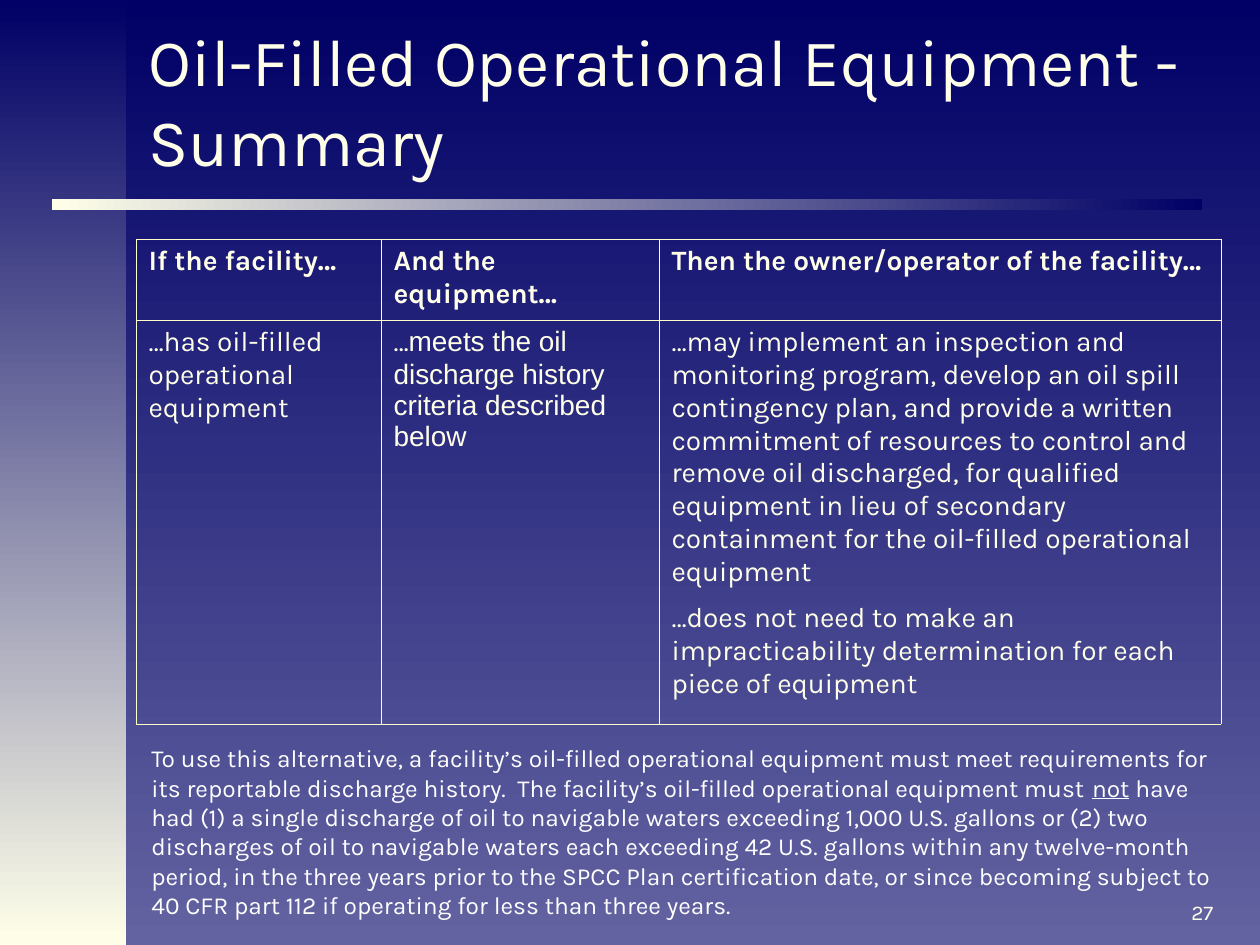
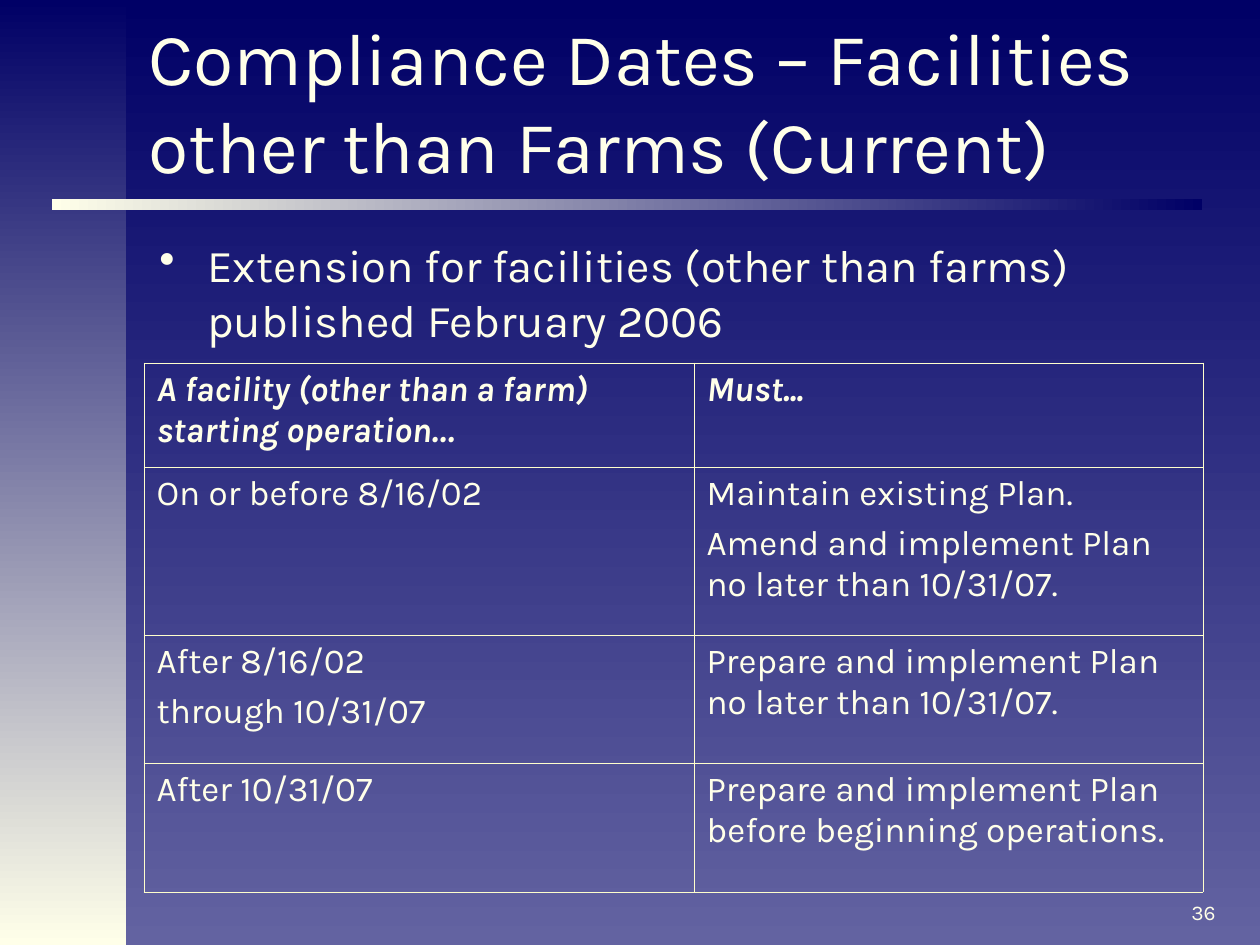
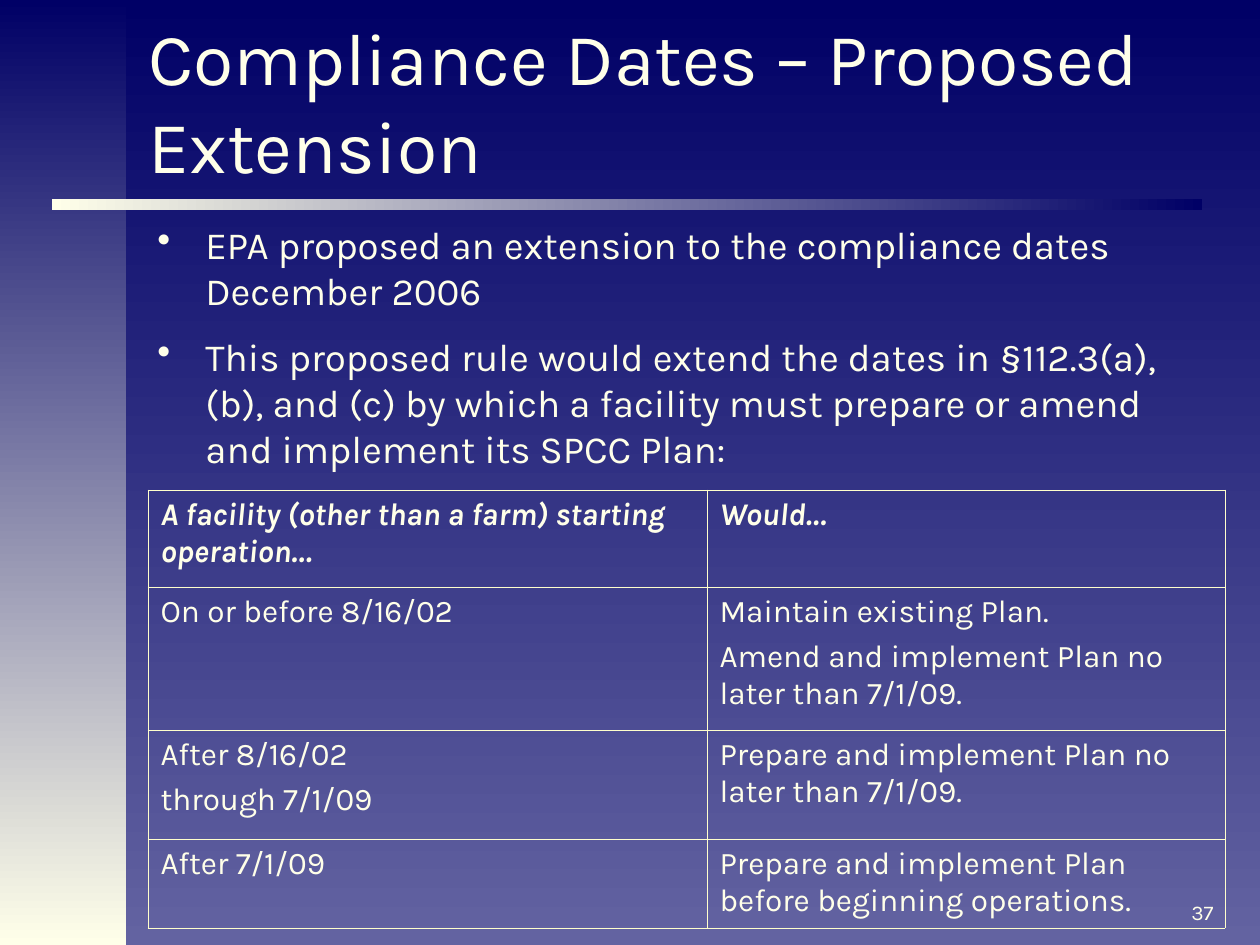
from lxml.etree import SubElement
from pptx import Presentation
from pptx.dml.color import RGBColor
from pptx.enum.shapes import MSO_SHAPE
from pptx.enum.text import MSO_ANCHOR
from pptx.oxml import parse_xml
from pptx.oxml.ns import nsdecls, qn
from pptx.util import Pt

PX = 914400 / 126
FONT = "Karla"
COLORS = {"navy": "000066", "violet": "6363A1", "cream": "FFFFE9",
          "border": "FFFFCC", "white": "FFFFFF"}
OPERATIONS = "Prepare and implement Plan before beginning operations."
STARTING = "A facility (other than a farm) starting operation…"


def date_rows(verb, date):
    """Rows shared by the two compliance date tables."""
    return [
        [[STARTING], [verb]],
        [["On or before 8/16/02"],
         ["Maintain existing Plan.", f"Amend and implement Plan no later than {date}."]],
        [["After 8/16/02", f"through {date}"],
         [f"Prepare and implement Plan no later than {date}."]],
        [[f"After {date}"], [OPERATIONS]],
    ]


# A paragraph is a string, or a list of (text, run style) pairs.
SLIDES = [
    {
        "number": 27,
        "title": "Oil-Filled Operational Equipment - Summary",
        "title_size": 38,
        "table": {
            "at": (136, 239), "cols": (245, 278, 562), "rows": (81, 404),
            "size": 16, "before": 4, "after": 4, "head": {"bold": True},
            "cells": [
                [["If the facility…"], ["And the equipment…"],
                 ["Then the owner/operator of the facility…"]],
                [["…has oil-filled operational equipment"],
                 [[("…", {}),
                   ("meets the oil discharge history criteria described below",
                    {"name": "Arial"})]],
                 ["…may implement an inspection and monitoring program, develop an oil "
                  "spill contingency plan, and provide a written commitment of resources "
                  "to control and remove oil discharged, for qualified equipment in lieu "
                  "of secondary containment for the oil-filled operational equipment",
                  "…does not need to make an impracticability determination for each "
                  "piece of equipment"]],
            ],
        },
        "text": {
            "at": (139, 737, 1086, 189), "size": 14, "color": "white",
            "paragraphs": [[
                ("To use this alternative, a facility’s oil-filled operational equipment "
                 "must meet requirements for its reportable discharge history.  The "
                 "facility’s oil-filled operational equipment must ", {}),
                ("not", {"underline": True}),
                (" have had (1) a single discharge of oil to navigable waters exceeding "
                 "1,000 U.S. gallons or (2) two discharges of oil to navigable waters each "
                 "exceeding 42 U.S. gallons within any twelve-month period, in the three "
                 "years prior to the SPCC Plan certification date, or since becoming "
                 "subject to 40 CFR part 112 if operating for less than three years.", {}),
            ]],
        },
    },
    {
        "number": 36,
        "title": "Compliance Dates – Facilities other than Farms (Current)",
        "title_size": 42,
        "text": {
            "at": (147, 231, 1077, 662), "size": 26, "bullet": True,
            "before": 6.5, "after": 6.5,
            "paragraphs": ["Extension for facilities (other than farms) published "
                           "February 2006"],
        },
        "table": {
            "at": (144, 363), "cols": (550, 509), "rows": (104, 168, 128, 129),
            "size": 20, "after": 5, "head": {"bold": True, "italic": True},
            "cells": date_rows("Must...", "10/31/07"),
        },
    },
    {
        "number": 37,
        "title": "Compliance Dates – Proposed Extension",
        "title_size": 42,
        "text": {
            "at": (145, 215, 1077, 662), "size": 22, "bullet": True,
            "before": 5.5, "after": 5.5,
            "paragraphs": [
                "EPA proposed an extension to the compliance dates December 2006",
                "This proposed rule would extend the dates in §112.3(a), (b), and (c) by "
                "which a facility must prepare or amend and implement its SPCC Plan:",
            ],
        },
        "table": {
            "at": (148, 490), "cols": (559, 518), "rows": (97, 143, 109, 89),
            "size": 18, "after": 4.5, "head": {"bold": True, "italic": True},
            "cells": date_rows("Would…", "7/1/09"),
        },
    },
]


def emu(*lengths):
    return [round(n * PX) for n in lengths]


def rgb(name):
    return RGBColor.from_string(COLORS[name])


def set_gradient(fill, start, end, angle):
    fill.gradient()
    fill.gradient_angle = angle
    for stop, name in zip(fill.gradient_stops, (start, end)):
        stop.color.rgb = rgb(name)


def add_bullet(p):
    pPr = p._p.get_or_add_pPr()
    indent, = emu(48)
    pPr.set("marL", str(indent))
    pPr.set("indent", str(-indent))
    color = SubElement(pPr, qn("a:buClr"))
    SubElement(color, qn("a:srgbClr")).set("val", COLORS["cream"])
    SubElement(pPr, qn("a:buChar")).set("char", "•")


def write(tf, paragraphs, size, color="cream", before=0, after=0, bullet=False, style=None):
    for i, content in enumerate(paragraphs):
        p = tf.add_paragraph() if i else tf.paragraphs[0]
        if bullet:
            add_bullet(p)
        p.space_before = Pt(before if i else 0)
        p.space_after = Pt(after)
        runs = [(content, {})] if isinstance(content, str) else content
        for text, run_style in runs:
            r = p.add_run()
            r.text = text
            r.font.size = Pt(size)
            r.font.color.rgb = rgb(color)
            for key, value in {"name": FONT, **(style or {}), **run_style}.items():
                setattr(r.font, key, value)


def add_text(s, at, paragraphs, size, **options):
    tf = s.shapes.add_textbox(*emu(*at)).text_frame
    tf.word_wrap = True
    write(tf, paragraphs, size, **options)
    return tf


def add_band(s, at, start, end, angle):
    band = s.shapes.add_shape(MSO_SHAPE.RECTANGLE, *emu(*at))
    band.shadow.inherit = False
    band.line.fill.background()
    set_gradient(band.fill, start, end, angle)


def add_title(s, text, size):
    tf = add_text(s, (136, 21, 1086, 158), [text], size)
    tf.vertical_anchor = MSO_ANCHOR.MIDDLE
    fill = tf.paragraphs[0].runs[0]._r.rPr.find(qn("a:solidFill"))
    fill.addnext(parse_xml(
        f'<a:effectLst {nsdecls("a")}><a:outerShdw dist="35921" dir="2700000">'
        '<a:srgbClr val="808080"/></a:outerShdw></a:effectLst>'))


def set_borders(cell):
    tcPr = cell._tc.get_or_add_tcPr()
    for i, side in enumerate(("lnL", "lnR", "lnT", "lnB")):
        tcPr.insert(i, parse_xml(
            f'<a:{side} {nsdecls("a")} w="{Pt(0.45)}"><a:solidFill>'
            f'<a:srgbClr val="{COLORS["border"]}"/></a:solidFill></a:{side}>'))


def add_grid(s, at, cols, rows, cells, head, **options):
    frame = s.shapes.add_table(len(rows), len(cols), *emu(*at, sum(cols), sum(rows)))
    table = frame.table
    table.first_row = table.horz_banding = False
    for col, width in zip(table.columns, emu(*cols)):
        col.width = width
    for i, height in enumerate(emu(*rows)):
        table.rows[i].height = height
        for j, paragraphs in enumerate(cells[i]):
            cell = table.cell(i, j)
            cell.fill.background()
            set_borders(cell)
            write(cell.text_frame, paragraphs, style=None if i else head, **options)


def main():
    prs = Presentation()
    prs.slide_width, prs.slide_height = emu(1260, 945)
    set_gradient(prs.slide_master.background.fill, "navy", "violet", 270)
    for content in SLIDES:
        s = prs.slides.add_slide(prs.slide_layouts[6])
        add_band(s, (0, 0, 126, 945), "navy", "cream", 270)
        add_band(s, (52, 199, 1150, 11), "navy", "cream", 180)
        add_text(s, (1179, 893, 76, 41), [str(content["number"])], 12)
        add_title(s, content["title"], content["title_size"])
        add_text(s, **content["text"])
        add_grid(s, **content["table"])
    prs.save("out.pptx")


if __name__ == "__main__":
    main()
